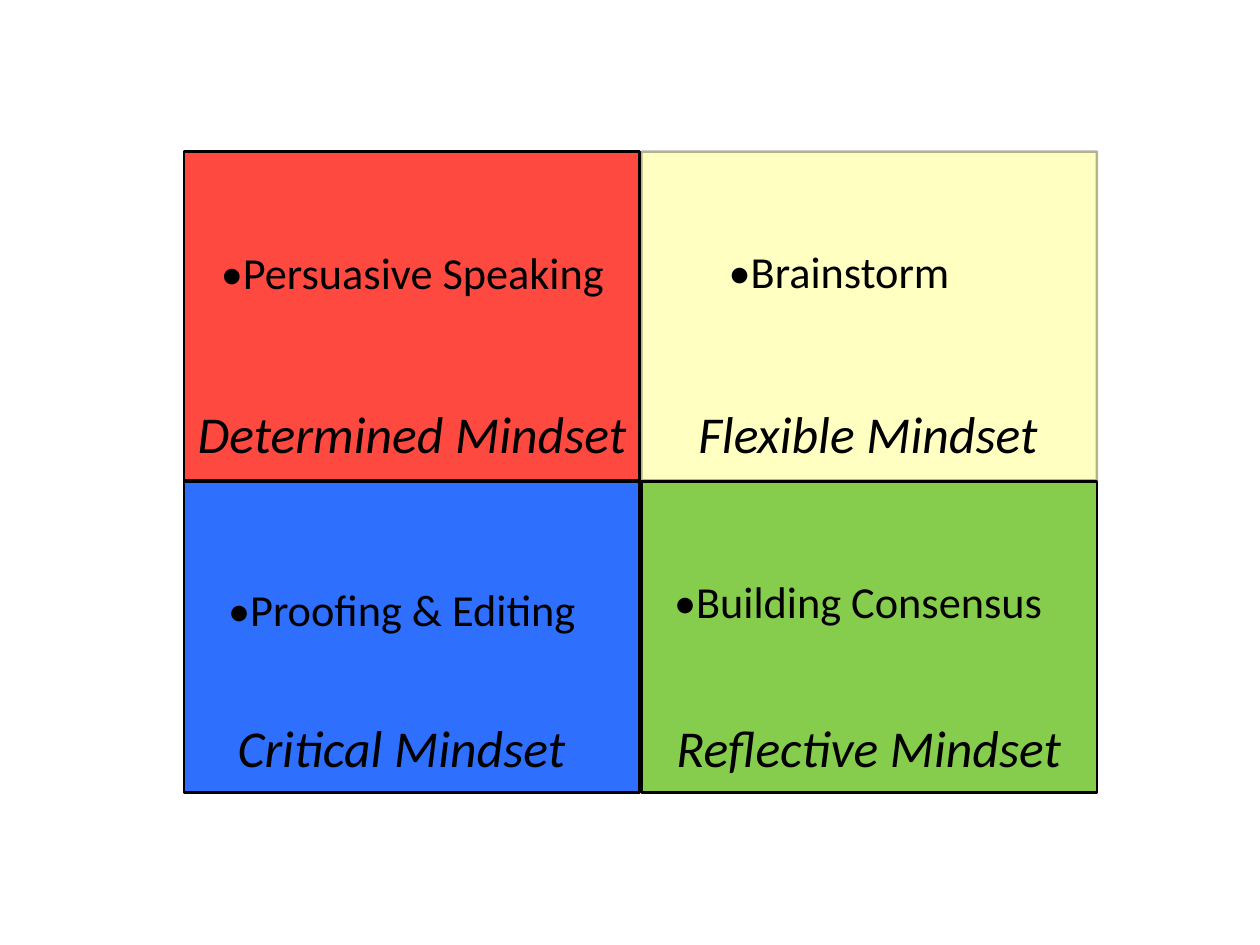
from lxml import etree
from pptx import Presentation
from pptx.dml.color import RGBColor
from pptx.enum.shapes import MSO_SHAPE
from pptx.enum.text import MSO_ANCHOR, PP_ALIGN
from pptx.oxml.ns import qn
from pptx.util import Pt

RECTANGLE = MSO_SHAPE.RECTANGLE
MIDDLE = MSO_ANCHOR.MIDDLE
CENTER = PP_ALIGN.CENTER

BLACK = RGBColor(0x00, 0x00, 0x00)
YELLOW = RGBColor(0xFF, 0xFF, 0x33)
GREEN = RGBColor(0x86, 0xCD, 0x4D)
BLUE = RGBColor(0x2E, 0x6F, 0xFD)
RED = RGBColor(0xFE, 0x49, 0x40)

EMU_PER_PX = 9144
SLIDE_SIZE = (1422, 1066)
COLUMNS = ((208, 514), (724, 514))
ROWS = ((171, 371), (543, 351))
ACTIVITY_SIZE = 36
MINDSET_SIZE = 42

QUADRANTS = (
    (1, 0, YELLOW, 30, "•Brainstorm", (805, 276, 284, 60),
     "Flexible Mindset", (757, 449, 445, 78)),
    (1, 1, GREEN, 100, "•Building Consensus", (728, 648, 481, 60),
     "Reflective Mindset", (749, 807, 463, 70)),
    (0, 1, BLUE, 100, "•Proofing & Editing", (229, 657, 449, 60),
     "Critical Mindset", (252, 807, 402, 70)),
    (0, 0, RED, 100, "•Persuasive Speaking", (249, 272, 433, 68),
     "Determined Mindset", (215, 449, 500, 78)),
)


class MindsetSlide:
    """Draws styled quadrants and labels on one slide."""

    font_name = "Calibri"
    line_width = Pt(2)

    def __init__(self, slide):
        self.slide = slide

    def scale(self, box):
        return [length * EMU_PER_PX for length in box]

    def quadrant(self, box, color, opacity):
        shape = self.slide.shapes.add_shape(RECTANGLE, *self.scale(box))
        shape.shadow.inherit = False
        shape.fill.solid()
        shape.fill.fore_color.rgb = color
        shape.line.color.rgb = BLACK
        shape.line.width = self.line_width
        if opacity < 100:
            for color_element in shape.element.spPr.findall(".//" + qn("a:srgbClr")):
                etree.SubElement(color_element, qn("a:alpha"), val=str(opacity * 1000))

    def label(self, box, text, size, italic=False):
        frame = self.slide.shapes.add_textbox(*self.scale(box)).text_frame
        frame.margin_left = frame.margin_right = 0
        frame.margin_top = frame.margin_bottom = 0
        frame.vertical_anchor = MIDDLE
        frame.word_wrap = False
        paragraph = frame.paragraphs[0]
        paragraph.text = text
        paragraph.alignment = CENTER
        paragraph.font.name = self.font_name
        paragraph.font.size = Pt(size)
        paragraph.font.italic = italic
        paragraph.font.color.rgb = BLACK


def main():
    presentation = Presentation()
    presentation.slide_width, presentation.slide_height = (
        length * EMU_PER_PX for length in SLIDE_SIZE)
    blank_layout = presentation.slide_layouts[6]
    mindsets = MindsetSlide(presentation.slides.add_slide(blank_layout))

    for column, row, color, opacity, *_ in QUADRANTS:
        left, width = COLUMNS[column]
        top, height = ROWS[row]
        mindsets.quadrant((left, top, width, height), color, opacity)
    for *_, activity, activity_box, mindset, mindset_box in QUADRANTS:
        mindsets.label(activity_box, activity, ACTIVITY_SIZE)
        mindsets.label(mindset_box, mindset, MINDSET_SIZE, italic=True)

    presentation.save("out.pptx")


if __name__ == "__main__":
    main()
